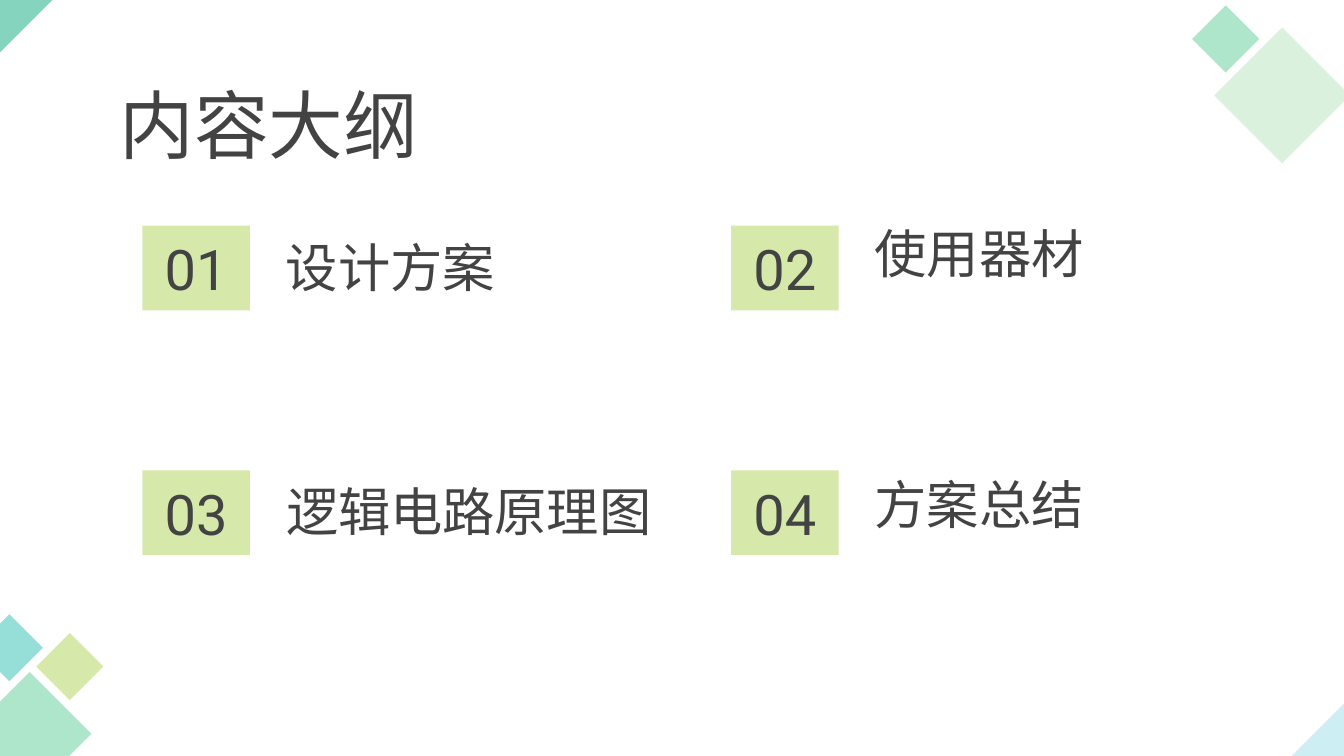
from pptx import Presentation
from pptx.dml.color import RGBColor
from pptx.enum.shapes import MSO_SHAPE
from pptx.enum.text import MSO_ANCHOR, MSO_AUTO_SIZE, PP_ALIGN
from pptx.util import Inches, Pt

DIAMOND, RECTANGLE = MSO_SHAPE.DIAMOND, MSO_SHAPE.RECTANGLE
TOP, MIDDLE, BOTTOM = MSO_ANCHOR.TOP, MSO_ANCHOR.MIDDLE, MSO_ANCHOR.BOTTOM
LEFT, CENTER = PP_ALIGN.LEFT, PP_ALIGN.CENTER
NO_AUTOFIT = MSO_AUTO_SIZE.NONE

WIDTH = 10
HEIGHT = WIDTH * 9 / 16
FONT = "Roboto"
COLORS = {
    "ink": "434343",
    "lime": "D6E8AA",
    "pale": "DAF1DD",
    "mint": "AEE6CB",
    "aqua": "96DFD8",
    "teal": "85D4BE",
    "sky": "CDEEF3",
}

GRID_LEFT, GRID_TOP = 1.06, 1.68
COLUMN_STEP, ROW_STEP = 4.38, 1.82
BADGE_WIDTH, BADGE_HEIGHT = 0.8, 0.63
LABEL_OFFSET = 0.97

DIAMONDS = [
    (9.54, 0.71, 1.01, "pale"),
    (9.12, 0.29, 0.5, "mint"),
    (0.22, 5.46, 0.92, "mint"),
    (0.07, 4.82, 0.5, "aqua"),
    (0.52, 4.96, 0.5, "lime"),
    (0, 0, 0.78, "teal"),
    (WIDTH, HEIGHT, 0.78, "sky"),
]

TOPICS = [
    ("设计方案", 2.17, 2.32),
    ("使用器材", 2.43, 2.21),
    ("逻辑电路原理图", 3.41, 4.13),
    ("方案总结", 2.52, 4.08),
]


def paint(shape, color):
    shape.shadow.inherit = False
    shape.fill.solid()
    shape.fill.fore_color.rgb = RGBColor.from_string(COLORS[color])
    shape.line.fill.background()


def write(shape, wording, size, anchor, align=LEFT):
    frame = shape.text_frame
    frame.text = wording
    frame.word_wrap = True
    frame.auto_size = NO_AUTOFIT
    frame.vertical_anchor = anchor
    frame.margin_left = frame.margin_right = Inches(0.1)
    frame.margin_top = frame.margin_bottom = Inches(0.1)
    paragraph = frame.paragraphs[0]
    paragraph.alignment = align
    font = paragraph.runs[0].font
    font.size = Pt(size)
    font.name = FONT
    font.color.rgb = RGBColor.from_string(COLORS["ink"])


def add_diamond(slide, center_x, center_y, side, color):
    diamond = slide.shapes.add_shape(
        DIAMOND, Inches(center_x - side / 2), Inches(center_y - side / 2),
        Inches(side), Inches(side))
    paint(diamond, color)


def set_title(slide, wording):
    title = slide.shapes.title
    title.left, title.top = Inches(0.79), Inches(0.49)
    title.width, title.height = Inches(8.43), Inches(0.63)
    write(title, wording, 40, TOP)


def add_badge(slide, number, left, top):
    badge = slide.shapes.add_shape(
        RECTANGLE, Inches(left), Inches(top),
        Inches(BADGE_WIDTH), Inches(BADGE_HEIGHT))
    paint(badge, "lime")
    write(badge, f"{number:02d}", 30, MIDDLE, CENTER)


def add_label(slide, wording, left, bottom, width):
    height = 0.55
    label = slide.shapes.add_textbox(
        Inches(left), Inches(bottom - height), Inches(width), Inches(height))
    write(label, wording, 28, BOTTOM)


def main():
    deck = Presentation()
    deck.slide_width, deck.slide_height = Inches(WIDTH), Inches(HEIGHT)
    slide = deck.slides.add_slide(deck.slide_layouts[5])
    for diamond in DIAMONDS:
        add_diamond(slide, *diamond)
    set_title(slide, "内容大纲")
    for index, (topic, width, bottom) in enumerate(TOPICS):
        row, column = divmod(index, 2)
        left = GRID_LEFT + column * COLUMN_STEP
        add_badge(slide, index + 1, left, GRID_TOP + row * ROW_STEP)
        add_label(slide, topic, left + LABEL_OFFSET, bottom, width)
    deck.save("out.pptx")


if __name__ == "__main__":
    main()
